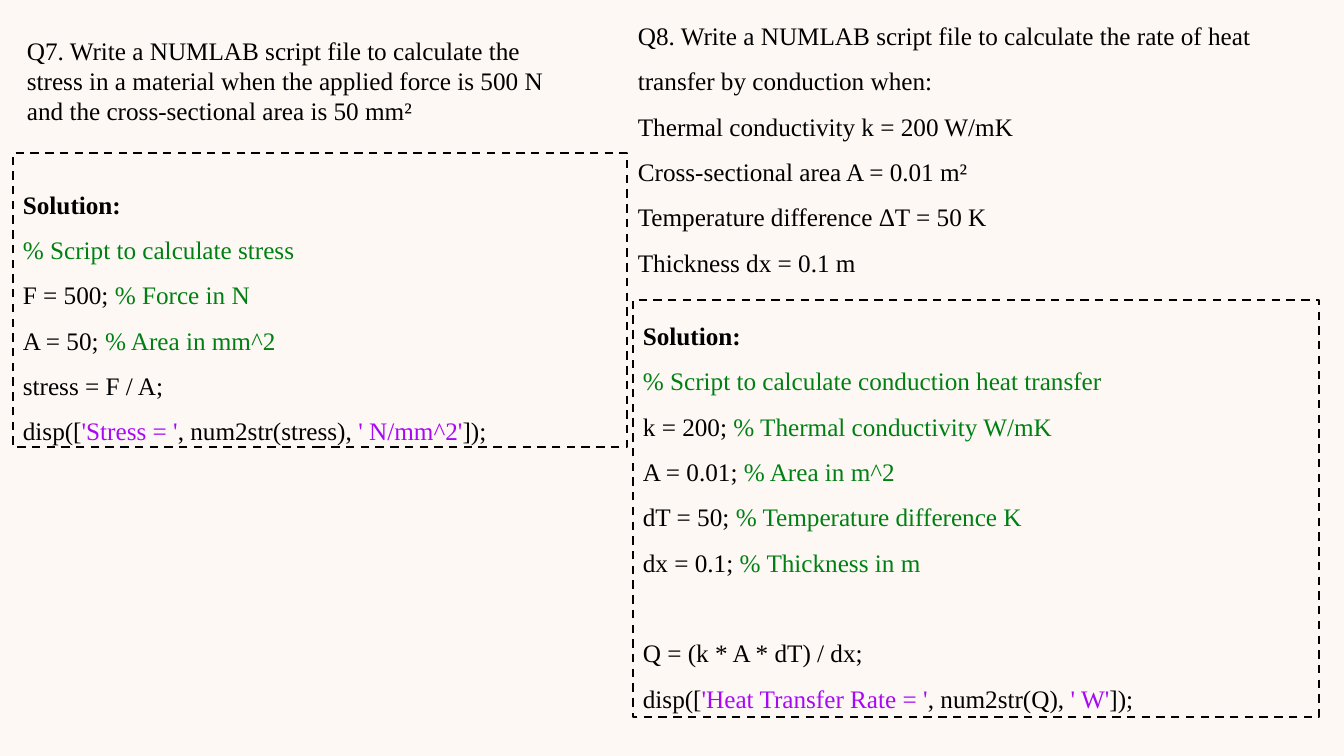
from pptx import Presentation
from pptx.dml.color import RGBColor
from pptx.enum.dml import MSO_LINE_DASH_STYLE as DASH
from pptx.enum.shapes import MSO_SHAPE as SHAPE
from pptx.enum.text import MSO_ANCHOR as ANCHOR, PP_ALIGN as ALIGN
from pptx.util import Emu, Pt

COLORS = {"paper": "FEF8F5", "text": "000000", "comment": "008013", "string": "A709F5"}
FONT, SIZE = "Times New Roman", 18
WIDTH, HEIGHT = 1344, 756

TITLE = [("Solution:", "text")]
STRESS_QUESTION = [
    [("Q7. Write a NUMLAB script file to calculate the stress in a material when the applied "
      "force is 500 N and the cross-sectional area is 50 mm²", "text")],
]
STRESS_SCRIPT = [
    TITLE,
    [("% Script to calculate stress", "comment")],
    [("F = 500; ", "text"), ("% Force in N", "comment")],
    [("A = 50; ", "text"), ("% Area in mm^2", "comment")],
    [("stress = F / A;", "text")],
    [("disp([", "text"), ("'Stress = '", "string"), (", num2str(stress), ", "text"),
     ("' N/mm^2'", "string"), ("]);", "text")],
]
HEAT_QUESTION = [
    [("Q8. Write a NUMLAB script file to calculate the rate of heat transfer by conduction when:",
      "text")],
    [("Thermal conductivity k = 200 W/mK", "text")],
    [("Cross-sectional area A = 0.01 m²", "text")],
    [("Temperature difference ΔT = 50 K", "text")],
    [("Thickness dx = 0.1 m", "text")],
]
HEAT_SCRIPT = [
    TITLE,
    [("% Script to calculate conduction heat transfer", "comment")],
    [("k = 200; ", "text"), ("% Thermal conductivity W/mK", "comment")],
    [("A = 0.01; ", "text"), ("% Area in m^2", "comment")],
    [("dT = 50; ", "text"), ("% Temperature difference K", "comment")],
    [("dx = 0.1; ", "text"), ("% Thickness in m", "comment")],
    [("Q = (k * A * dT) / dx;", "text")],
    [("disp([", "text"), ("'Heat Transfer Rate = '", "string"), (", num2str(Q), ", "text"),
     ("' W'", "string"), ("]);", "text")],
]
BLOCKS = [
    (HEAT_SCRIPT, (633, 300, 686, 417), {"framed": True, "gap_before": 6}),
    (STRESS_SCRIPT, (13, 153, 614, 294), {"framed": True, "first_spacing": 1, "top": 36}),
    (STRESS_QUESTION, (17, 30, 569, 102), {"first_spacing": 1}),
    (HEAT_QUESTION, (628, 0, 691, 279), {}),
]


def px(n):
    return Emu(round(n * 914400 / 100.8))


def rgb(name):
    return RGBColor.from_string(COLORS[name])


def add_block(slide, lines, box, framed=False, first_spacing=1.5, top=5, gap_before=None):
    box = [px(n) for n in box]
    if framed:
        sp = slide.shapes.add_shape(SHAPE.RECTANGLE, *box)
        sp.shadow.inherit = False
        sp.fill.background()
        sp.line.color.rgb = rgb("text")
        sp.line.width = Pt(1.5)
        sp.line.dash_style = DASH.DASH
    else:
        sp = slide.shapes.add_textbox(*box)
    tf = sp.text_frame
    tf.word_wrap = True
    tf.vertical_anchor = ANCHOR.TOP
    tf.margin_top = px(top)
    for i, line in enumerate(lines):
        p = tf.add_paragraph() if i else tf.paragraphs[0]
        p.alignment = ALIGN.LEFT
        p.line_spacing = 1.5 if i else first_spacing
        if i == gap_before:
            p.space_before = Pt(32.4)
        for text, role in line:
            r = p.add_run()
            r.text = text
            r.font.name, r.font.size = FONT, Pt(SIZE)
            r.font.bold = line is TITLE
            r.font.color.rgb = rgb(role)


prs = Presentation()
prs.slide_width, prs.slide_height = px(WIDTH), px(HEIGHT)
s = prs.slides.add_slide(prs.slide_layouts[6])
s.background.fill.solid()
s.background.fill.fore_color.rgb = rgb("paper")
for lines, box, style in BLOCKS:
    add_block(s, lines, box, **style)
prs.save("out.pptx")
